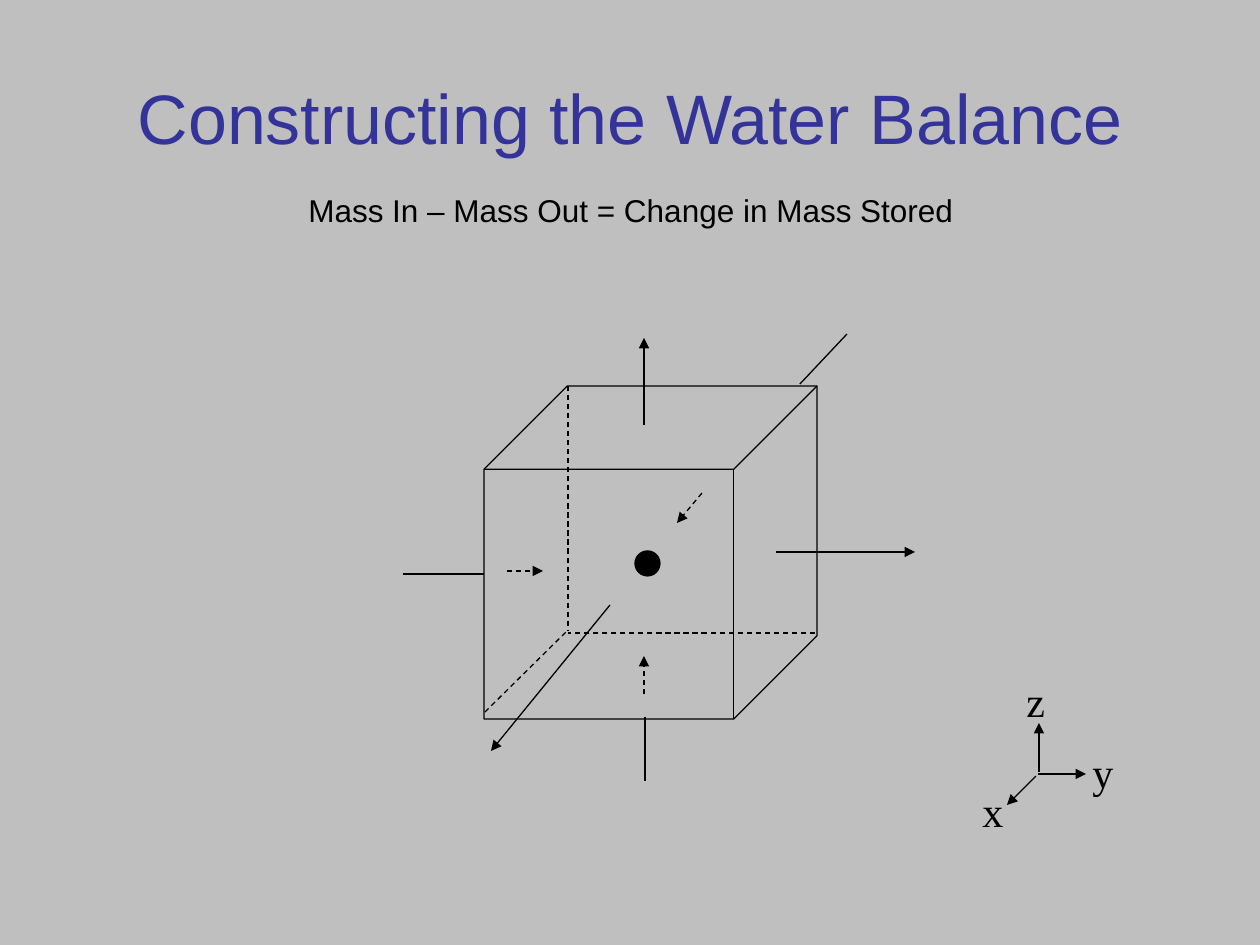
from lxml import etree
from pptx import Presentation
from pptx.dml.color import RGBColor
from pptx.enum.dml import MSO_LINE
from pptx.enum.shapes import MSO_CONNECTOR, MSO_SHAPE
from pptx.enum.text import MSO_ANCHOR, MSO_AUTO_SIZE, PP_ALIGN
from pptx.oxml.ns import qn
from pptx.util import Emu, Pt

STRAIGHT = MSO_CONNECTOR.STRAIGHT
DASH = MSO_LINE.DASH
CUBE, OVAL = MSO_SHAPE.CUBE, MSO_SHAPE.OVAL
MIDDLE, CENTER = MSO_ANCHOR.MIDDLE, PP_ALIGN.CENTER
FIT_SHAPE = MSO_AUTO_SIZE.SHAPE_TO_FIT_TEXT
TITLE_ONLY = 5
BLACK, GRAY, BLUE = "000000", "BFBFBF", "333399"
LINE_WIDTH = Pt(0.75)


def px(*lengths):
    return [Emu(round(length * 914400 / 126)) for length in lengths]


def color(hex_value):
    return RGBColor.from_string(hex_value)


presentation = Presentation()
presentation.slide_width, presentation.slide_height = px(1260, 945)
slide = presentation.slides.add_slide(presentation.slide_layouts[TITLE_ONLY])
slide.background.fill.solid()
slide.background.fill.fore_color.rgb = color(GRAY)

# Title
title = slide.shapes.title
title.left, title.top, title.width, title.height = px(63, 38, 1134, 157)
title.text_frame.text = "Constructing the Water Balance"
title.text_frame.vertical_anchor = MIDDLE
paragraph = title.text_frame.paragraphs[0]
paragraph.alignment = CENTER
for name, value in {"name": "Arial", "size": Pt(40)}.items():
    setattr(paragraph.font, name, value)
paragraph.font.color.rgb = color(BLUE)

# Balance equation and axis letters
labels = [
    ("Mass In – Mass Out = Change in Mass Stored", (296, 185, 670, 50),
     {"name": "Arial", "size": Pt(18)}),
]
axis_format = {"name": "Times New Roman", "size": Pt(24)}
for letter, left, top in [("z", 1014, 669), ("y", 1080, 740), ("x", 970, 779)]:
    labels.append((letter, (left, top, 46, 63), axis_format))

for text, box, font_format in labels:
    label = slide.shapes.add_textbox(*px(*box))
    label.text_frame.word_wrap = False
    label.text_frame.auto_size = FIT_SHAPE
    paragraph = label.text_frame.paragraphs[0]
    paragraph.text = text
    for name, value in font_format.items():
        setattr(paragraph.font, name, value)
    paragraph.font.color.rgb = color(BLACK)

# Control volume and its centre point
cube = slide.shapes.add_shape(CUBE, *px(484, 386, 333, 333))
cube.adjustments[0] = 0.25
cube.fill.background()
center_point = slide.shapes.add_shape(OVAL, *px(635, 551, 25, 25))
center_point.fill.solid()
center_point.fill.fore_color.rgb = color(BLACK)
for shape in (cube, center_point):
    shape.shadow.inherit = False
    shape.line.color.rgb = color(BLACK)
    shape.line.width = LINE_WIDTH

# Lines: start x, start y, end x, end y, dashed, arrow at end
lines = [
    # Axes z, y, x
    (1039, 772, 1039, 723, False, True),
    (1038, 774, 1086, 774, False, True),
    (1036, 776, 1007, 805, False, True),
    # Hidden edges
    (815, 633, 568, 633, True, False),
    (485, 712, 568, 630, True, False),
    (568, 386, 568, 631, True, False),
    # Vertical flow
    (644, 425, 644, 338, False, True),
    (645, 717, 645, 781, False, False),
    (644, 694, 644, 656, True, True),
    # Flow from back to front
    (610, 605, 491, 751, False, True),
    (847, 334, 800, 384, False, False),
    (702, 493, 677, 523, True, True),
    # Flow from left to right
    (776, 552, 915, 552, False, True),
    (484, 574, 403, 574, False, False),
    (507, 571, 543, 571, True, True),
]
for *ends, dashed, arrow in lines:
    connector = slide.shapes.add_connector(STRAIGHT, *px(*ends))
    connector.line.color.rgb = color(BLACK)
    connector.line.width = LINE_WIDTH
    if dashed:
        connector.line.dash_style = DASH
    properties = connector._element.spPr
    if arrow:
        etree.SubElement(properties.find(qn("a:ln")), qn("a:tailEnd"), type="triangle")
    etree.SubElement(properties, qn("a:effectLst"))

presentation.save("out.pptx")
